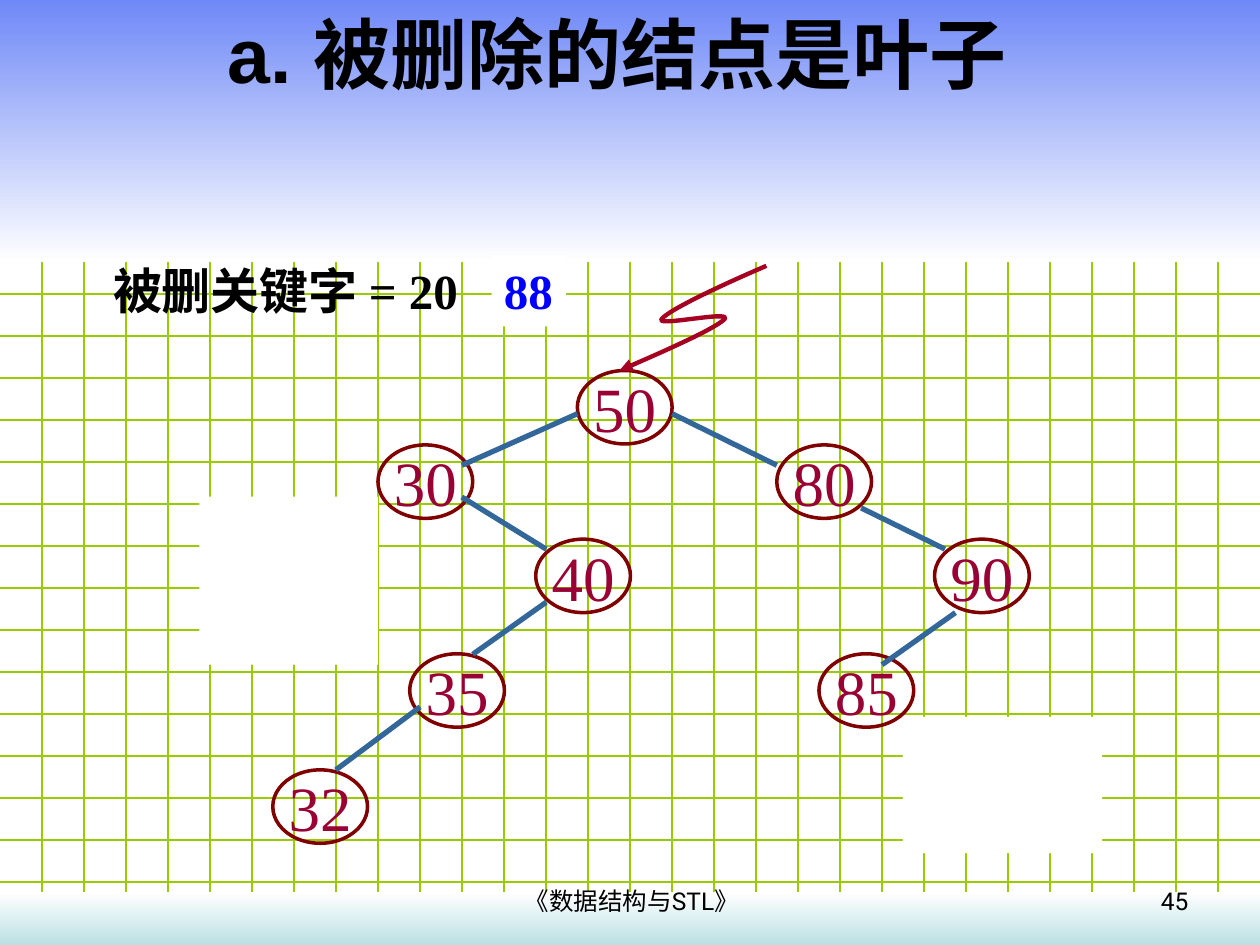
import pptx
import pptx.dml.color
import pptx.enum.shapes
import pptx.enum.text
import pptx.oxml
import pptx.oxml.ns
import pptx.util

Cm, Pt = pptx.util.Cm, pptx.util.Pt
RGB = pptx.dml.color.RGBColor.from_string
SHAPE = pptx.enum.shapes.MSO_SHAPE
ALIGN = pptx.enum.text.PP_ALIGN
ANCHOR = pptx.enum.text.MSO_ANCHOR
qn = pptx.oxml.ns.qn

# Content: boxes are (left, top, width, height) in cm
W, H = 25.4, 19.05
TITLE = "a. 被删除的结点是叶子"
FOOTER = "《数据结构与STL》"
PAGE = "45"
KEY_LABEL = "被删关键字 = 20"
NEXT_KEY = "88"
NODES = [
    ("50", 11.64, 7.47), ("30", 7.62, 8.97), ("80", 15.66, 8.97),
    ("90", 18.84, 10.87), ("85", 16.51, 13.18), ("40", 10.8, 10.87),
    ("35", 8.26, 13.18), ("32", 5.5, 15.52),
]
NODE_SIZE = (1.91, 1.48)
EDGES = [
    (11.64, 8.34, 9.31, 9.38), (13.55, 8.34, 15.66, 9.38),
    (9.31, 10.02, 11.01, 11.07), (11.01, 12.14, 9.53, 13.19),
    (17.36, 10.24, 19.05, 11.07), (19.26, 12.35, 17.78, 13.4),
    (8.47, 14.25, 6.77, 15.52),
]
REMOVED_AREAS = [(4.02, 10.01, 3.6, 3.39), (18.2, 14.45, 4.02, 2.75)]
BANDS = [((0, 0, W, 5.29), "top_band"), ((0, 17.99, W, 1.06), "bottom_band")]
# Start point followed by three Bezier segments of three points each
ROOT_ARROW = [
    (15.45, 5.36), (14.45, 5.79), (13.49, 6.25), (13.34, 6.43),
    (13.18, 6.6), (14.76, 6.25), (14.61, 6.43),
    (14.45, 6.6), (13.49, 7.04), (12.49, 7.47),
]

THEME = {
    "grid": ("99CC00", 0.75), "edge": ("336699", 3),
    "node": ("800000", 2), "arrow": ("A50021", 2.5),
    "top_band": ("6F89F7", "FFFFFF"), "bottom_band": ("FFFFFF", "BBE0E3"),
    "white": "FFFFFF",
    # font, size, colour, bold
    "title": ("Arial", 44, "000000", True),
    "small": ("Roboto", 14, "000000", False),
    "key": ("Times New Roman", 28, "000000", True),
    "next_key": ("Times New Roman", 28, "0000FF", True),
    "value": ("Times New Roman", 36, "990033", False),
}

prs = pptx.Presentation()
prs.slide_width, prs.slide_height = Cm(W), Cm(H)
s = prs.slides.add_slide(prs.slide_layouts[6])


def set_line(sp, style):
    color, width = THEME[style]
    sp.line.color.rgb = RGB(color)
    sp.line.width = Pt(width)


def add_line(x1, y1, x2, y2, style):
    c = s.shapes.add_connector(pptx.enum.shapes.MSO_CONNECTOR.STRAIGHT,
                               Cm(x1), Cm(y1), Cm(x2), Cm(y2))
    set_line(c, style)
    pptx.oxml.ns  # namespaces for the effect list below
    c._element.spPr.append(pptx.oxml.parse_xml(
        "<a:effectLst %s/>" % pptx.oxml.ns.nsdecls("a")))


def add_shape(kind, box):
    sp = s.shapes.add_shape(kind, *map(Cm, box))
    sp.shadow.inherit = False
    sp.line.fill.background()
    return sp


def add_white(box):
    sp = add_shape(SHAPE.RECTANGLE, box)
    sp.fill.solid()
    sp.fill.fore_color.rgb = RGB(THEME["white"])
    return sp


def set_text(sp, text, style, align=ALIGN.LEFT, anchor=ANCHOR.TOP, wrap=False):
    tf = sp.text_frame
    tf.text = text
    tf.word_wrap = wrap
    tf.vertical_anchor = anchor
    p = tf.paragraphs[0]
    p.alignment = align
    font = p.runs[0].font
    font.name, size, color, font.bold = THEME[style]
    font.size = Pt(size)
    font.color.rgb = RGB(color)


def add_text(box, *args, **options):
    set_text(s.shapes.add_textbox(*map(Cm, box)), *args, **options)


# Background grid, horizontal lines only between the two bands
step = W / 30
for i in range(7, 22):
    add_line(0, i * step, W, i * step, "grid")
for i in range(1, 30):
    add_line(i * step, 0, i * step, H, "grid")

# Gradient bands
for box, style in BANDS:
    sp = add_shape(SHAPE.RECTANGLE, box)
    sp.fill.gradient()
    sp.fill.gradient_angle = 270
    for stop, color in zip(sp.fill.gradient_stops, THEME[style]):
        stop.color.rgb = RGB(color)

# Title and page number
add_text((0, 0, 24.89, 2.13), TITLE, "title", ALIGN.CENTER, ANCHOR.MIDDLE, True)
add_text((18.29, 17.73, 5.92, 0.91), PAGE, "small", ALIGN.RIGHT, wrap=True)

# Search tree
for value, x, y in NODES:
    sp = add_shape(SHAPE.OVAL, (x, y, *NODE_SIZE))
    sp.fill.background()
    set_line(sp, "node")
    set_text(sp, value, "value", ALIGN.CENTER, ANCHOR.MIDDLE)
for edge in EDGES:
    add_line(*edge, "edge")

# Blank areas where leaves were removed
for box in REMOVED_AREAS:
    add_white(box)

# Curved arrow to the root: each three line segments become one Bezier curve
points = [(Cm(x), Cm(y)) for x, y in ROOT_ARROW]
fb = s.shapes.build_freeform(*points[0])
fb.add_line_segments(points[1:], close=False)
sp = fb.convert_to_shape()
sp.shadow.inherit = False
sp.fill.background()
set_line(sp, "arrow")
outline = next(sp._element.iter(qn("a:moveTo"))).getparent()
segments = outline.findall(qn("a:lnTo"))
for i in range(0, len(segments), 3):
    curve = outline.makeelement(qn("a:cubicBezTo"), {})
    outline.append(curve)
    for segment in segments[i:i + 3]:
        curve.append(segment[0])
        outline.remove(segment)
head = pptx.oxml.parse_xml(
    '<a:tailEnd %s type="triangle"/>' % pptx.oxml.ns.nsdecls("a"))
sp.line._get_or_add_ln().append(head)

# Deleted keys and footer
add_text((2.03, 5.13, 7.7, 1.45), KEY_LABEL, "key")
set_text(add_white((9.91, 5.13, 1.5, 1.45)), NEXT_KEY, "next_key")
add_text((8.71, 17.73, 8.05, 0.91), FOOTER, "small", ALIGN.CENTER, wrap=True)

prs.save("out.pptx")
